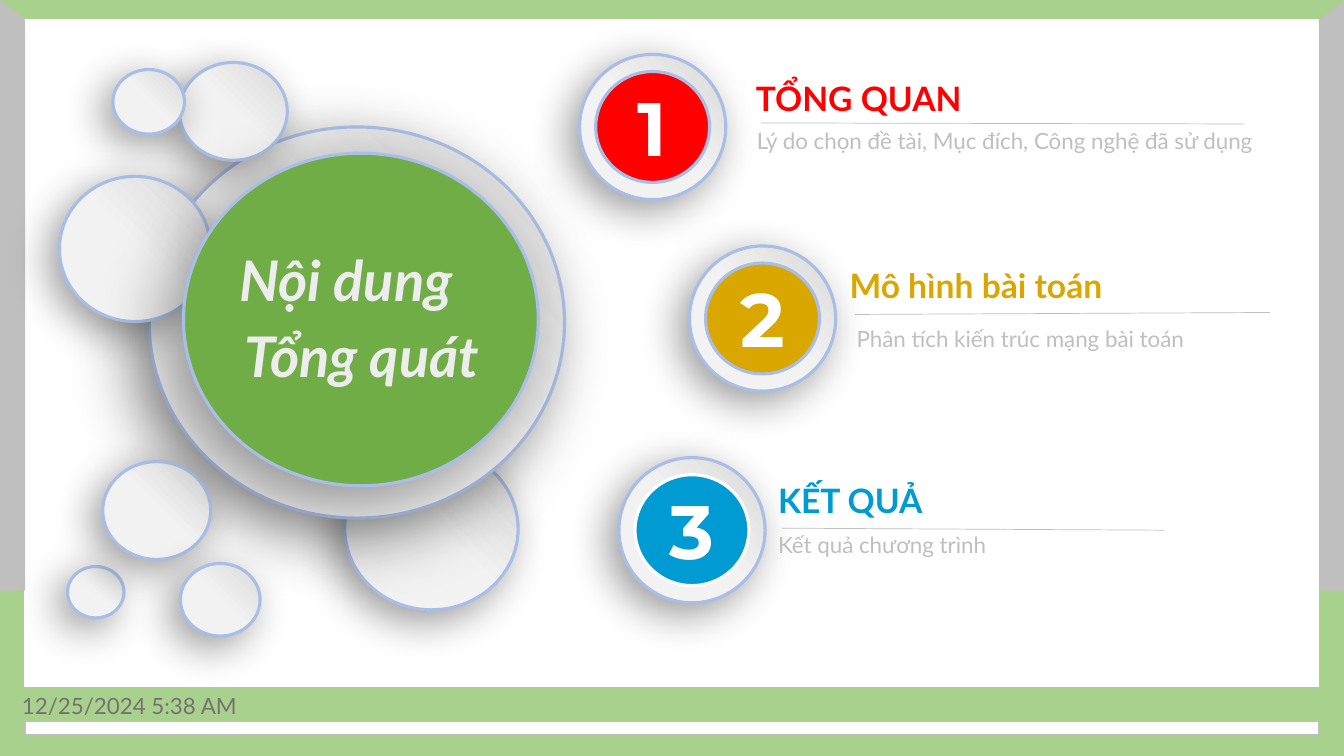
"""Build the contents slide: a bubble cluster with the title and three numbered topics."""
from dataclasses import dataclass
from typing import Any, NamedTuple

from lxml.etree import SubElement
from pptx import Presentation
from pptx.dml.color import RGBColor
from pptx.enum.shapes import MSO_CONNECTOR, MSO_SHAPE
from pptx.enum.text import MSO_ANCHOR, MSO_AUTO_SIZE, PP_ALIGN
from pptx.oxml.ns import qn
from pptx.util import Inches, Pt

OVAL, RECTANGLE = MSO_SHAPE.OVAL, MSO_SHAPE.RECTANGLE
STRAIGHT = MSO_CONNECTOR.STRAIGHT
TOP, MIDDLE = MSO_ANCHOR.TOP, MSO_ANCHOR.MIDDLE
FIXED, GROW = MSO_AUTO_SIZE.NONE, MSO_AUTO_SIZE.SHAPE_TO_FIT_TEXT
LEFT, CENTER, JUSTIFY = PP_ALIGN.LEFT, PP_ALIGN.CENTER, PP_ALIGN.JUSTIFY
COLUMNS, ROWS = 133.33, 75


@dataclass(frozen=True)
class Theme:
    """Colours, fonts and sizes of the deck."""

    frame: str = "A9D18E"
    side: str = "BFBFBF"
    white: str = "FFFFFF"
    rim: str = "A9BEE6"
    pale: str = "F2F2F2"
    shade: str = "D9D9D9"
    shadow: str = "000000"
    core: str = "70AD47"
    title: str = "EDEDED"
    muted: str = "BFBFBF"
    date: str = "767171"
    red: str = "FF0000"
    gold: str = "DAA600"
    blue: str = "009BD2"
    text_font: str = "Lato"
    number_font: str = "Montserrat"
    number_size: int = 54
    title_size: int = 40
    heading_size: int = 24
    body_size: int = 16
    rim_width: float = 2.25


THEME = Theme()


class Box(NamedTuple):
    """Left, top, width and height in grid cells."""

    left: float
    top: float
    width: float
    height: float


class Shadow(NamedTuple):
    """Blur and distance of a soft shadow in points."""

    blur: int
    distance: int


class Bubble(NamedTuple):
    """A shaded disc of the cluster."""

    box: Box
    shadow: Shadow


class Topic(NamedTuple):
    """A numbered topic with its ring, heading, rule and description."""

    number: str
    color: str
    rim: str
    ring: tuple[float, float]
    heading: str
    heading_box: Box
    rule: tuple[float, float, float, float]
    detail: str
    detail_box: Box
    detail_align: PP_ALIGN


SOFT, DEEP = Shadow(30, 10), Shadow(50, 18)
BARS = [
    (Box(0, 0, COLUMNS, 5.6), THEME.frame, None),
    (Box(0, 5.6, COLUMNS, ROWS - 5.6), THEME.frame, None),
    (Box(2.5, 2, 128.3, 66.1), THEME.white, THEME.white),
    (Box(2.5, 71.6, 128.3, 1.3), THEME.white, THEME.side),
]
BUBBLES = [
    Bubble(Box(34.2, 44.4, 17.2, 16.1), SOFT),
    Bubble(Box(14.8, 12.6, 41.2, 38.8), DEEP),
    Bubble(Box(5.9, 17.5, 15, 14.4), SOFT),
    Bubble(Box(17.8, 6.2, 10.7, 9.7), SOFT),
    Bubble(Box(11.2, 6.9, 7.1, 6.4), SOFT),
    Bubble(Box(6.7, 56.2, 5.6, 5.1), SOFT),
    Bubble(Box(10.2, 45.8, 10.7, 9.7), SOFT),
    Bubble(Box(17.9, 55.9, 7.9, 7.2), SOFT),
]
TOPICS = [
    Topic("1", THEME.red, THEME.rim, (57.5, 5.4),
          "TỔNG QUAN", Box(74, 7.2, 53.9, 5), (75.5, 12.2, 123.4, 12.3),
          "Lý do chọn đề tài, Mục đích, Công nghệ đã sử dụng", Box(74.1, 12.1, 52.1, 6.4), LEFT),
    Topic("2", THEME.gold, THEME.rim, (68.4, 24.4),
          "Mô hình bài toán", Box(83.3, 25.8, 57.1, 5), (84.8, 31.2, 126, 31),
          "Phân tích kiến trúc mạng bài toán", Box(84, 31.8, 45.4, 3.7), JUSTIFY),
    Topic("3", THEME.blue, THEME.white, (61.4, 45.4),
          "KẾT QUẢ", Box(76.2, 47.1, 42.7, 5), (77.6, 52.4, 115.5, 52.6),
          "Kết quả chương trình", Box(76.2, 52.2, 50, 3.7), LEFT),
]


def cells(*values: float) -> list[int]:
    """Turn grid cells into lengths."""
    return [Inches(value / 10) for value in values]


def apply(target: Any, formats: dict[str, Any]) -> None:
    """Set every format value on the target."""
    for name, value in formats.items():
        setattr(target, name, value)


def add_flat(shapes: Any, kind: MSO_SHAPE, box: Box, color: str, line: str | None, width: float = 1) -> Any:
    """Add a plain filled shape."""
    shape = shapes.add_shape(kind, *cells(*box))
    paint(shape, color)
    if line:
        shape.line.color.rgb = RGBColor.from_string(line)
        shape.line.width = Pt(width)
    return shape


def paint(shape: Any, color: str) -> None:
    """Fill a shape and drop its line and shadow."""
    shape.shadow.inherit = False
    shape.fill.solid()
    shape.fill.fore_color.rgb = RGBColor.from_string(color)
    shape.line.fill.background()


def add_shadow(shape: Any, shadow: Shadow) -> None:
    """Cast a soft shadow to the lower left."""
    effects = shape.element.spPr.find(qn("a:effectLst"))
    outer = SubElement(effects, qn("a:outerShdw"), blurRad=str(Pt(shadow.blur)),
                       dist=str(Pt(shadow.distance)), dir="8100000", algn="tr", rotWithShape="0")
    color = SubElement(outer, qn("a:srgbClr"), val=THEME.shadow)
    SubElement(color, qn("a:alpha"), val="40000")


def add_bubble(shapes: Any, bubble: Bubble) -> None:
    """Add a shaded disc with a rim and a shadow."""
    disc = add_flat(shapes, OVAL, bubble.box, THEME.pale, THEME.rim, THEME.rim_width)
    disc.fill.gradient()
    disc.fill.gradient_angle = 45
    for stop, color, position in zip(disc.fill.gradient_stops, (THEME.pale, THEME.shade), (0.5, 1)):
        stop.color.rgb = RGBColor.from_string(color)
        stop.position = position
    add_shadow(disc, bubble.shadow)


def write(para: Any, words: str, color: str, font: dict[str, Any], align: PP_ALIGN = LEFT) -> None:
    """Write one formatted span into a paragraph."""
    para.alignment = align
    span = para.add_run()
    span.text = words
    apply(span.font, font)
    span.font.color.rgb = RGBColor.from_string(color)


def add_text(shapes: Any, box: Box, words: str, color: str, font: dict[str, Any],
             align: PP_ALIGN = LEFT, **frame: Any) -> None:
    """Add a text box with one paragraph."""
    text_frame = shapes.add_textbox(*cells(*box)).text_frame
    apply(text_frame, {"word_wrap": True, "auto_size": GROW, **frame})
    write(text_frame.paragraphs[0], words, color, font, align)


def add_side(shapes: Any, outer: float, inner: float) -> None:
    """Add a grey side panel with a mitred top."""
    corners = [cells(*point) for point in ((outer, 0), (inner, 2), (inner, 58.6), (outer, 58.6))]
    builder = shapes.build_freeform(*corners[0])
    builder.add_line_segments(corners[1:], close=True)
    paint(builder.convert_to_shape(), THEME.side)


def add_topic(shapes: Any, topic: Topic) -> None:
    """Add a numbered ring with its heading, rule and description."""
    left, top = topic.ring
    ring = shapes.add_group_shape().shapes
    add_bubble(ring, Bubble(Box(left, top, 14.5, 14.4), SOFT))
    add_flat(ring, OVAL, Box(left + 1.6, top + 1.7, 11.3, 11), topic.color, topic.rim, THEME.rim_width)
    number = {"name": THEME.number_font, "size": Pt(THEME.number_size), "bold": True}
    add_text(ring, Box(left + 4, top + 2.1, 6.5, 10.1), topic.number, THEME.white, number, CENTER, word_wrap=False)
    heading = {"name": THEME.text_font, "size": Pt(THEME.heading_size), "bold": True}
    add_text(shapes, topic.heading_box, topic.heading, topic.color, heading)
    rule = shapes.add_connector(STRAIGHT, *cells(*topic.rule))
    rule.line.color.rgb = RGBColor.from_string(THEME.muted)
    rule.line.width = Pt(0.5)
    SubElement(rule.element.spPr, qn("a:effectLst"))
    detail = {"name": THEME.text_font, "size": Pt(THEME.body_size)}
    add_text(shapes, topic.detail_box, topic.detail, THEME.muted, detail, topic.detail_align)


def set_title(page: Any) -> None:
    """Place the two-line title in front of the green core."""
    title = page.shapes.title
    page.shapes.element.append(title.element)
    apply(title, dict(zip(Box._fields, cells(-5.2, 23.9, 79, 15.2))))
    frame = title.text_frame
    apply(frame, {"word_wrap": True, "auto_size": FIXED, "vertical_anchor": TOP})
    font = {"name": THEME.text_font, "size": Pt(THEME.title_size), "bold": True, "italic": True}
    first, second = frame.paragraphs[0], frame.add_paragraph()
    for para, words in ((first, "Nội dung"), (second, "Tổng quát")):
        apply(para, {"line_spacing": 1.0})
        write(para, words, THEME.title, font, CENTER)
    second.space_before = Pt(6)
    second._p.get_or_add_pPr().set("marL", str(Inches(0.32)))


def main() -> None:
    """Build and save the deck."""
    deck = Presentation()
    deck.slide_width, deck.slide_height = cells(COLUMNS, ROWS)
    page = deck.slides.add_slide(deck.slide_layouts[5])
    for box, color, line in BARS:
        add_flat(page.shapes, RECTANGLE, box, color, line)
    for outer, inner in ((0, 2.5), (COLUMNS, 130.9)):
        add_side(page.shapes, outer, inner)
    for bubble in BUBBLES:
        add_bubble(page.shapes, bubble)
    for topic in TOPICS:
        add_topic(page.shapes, topic)
    core = add_flat(page.shapes, OVAL, Box(18.2, 15.2, 35.2, 33), THEME.core, THEME.rim, THEME.rim_width)
    add_shadow(core, DEEP)
    set_title(page)
    add_text(page.shapes, Box(1.2, 68, 30, 4), "12/25/2024 5:38 AM", THEME.date,
             {"name": THEME.text_font, "size": Pt(THEME.body_size)}, auto_size=FIXED, vertical_anchor=MIDDLE)
    deck.save("out.pptx")


if __name__ == "__main__":
    main()
